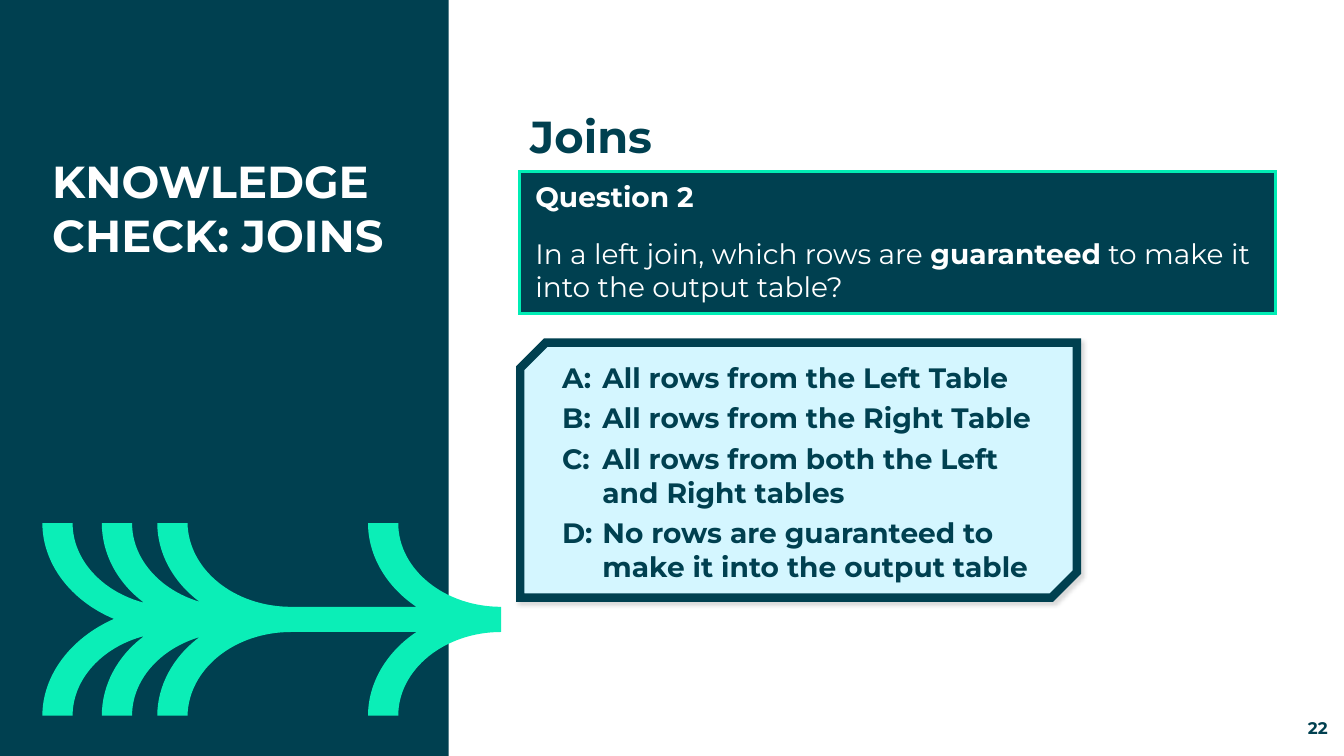
from lxml import etree
from pptx import Presentation
from pptx.dml.color import RGBColor
from pptx.enum.shapes import MSO_SHAPE as SHAPE
from pptx.enum.text import MSO_ANCHOR as ANCHOR, PP_ALIGN as ALIGN
from pptx.oxml import parse_xml
from pptx.oxml.ns import nsdecls, qn
from pptx.util import Pt

PX = 9144
COLORS = {"navy": "004050", "mint": "0BEEB7", "edge": "00EDB5",
          "ice": "D4F6FF", "white": "FFFFFF"}


def paint(sp, fill, line=None, width=0):
    sp.shadow.inherit = False
    sp.fill.solid()
    sp.fill.fore_color.rgb = RGBColor.from_string(COLORS[fill])
    if line:
        sp.line.color.rgb = RGBColor.from_string(COLORS[line])
        sp.line.width = Pt(width)
        etree.SubElement(sp.line._ln, qn("a:miter")).set("lim", "800000")
    else:
        sp.line.fill.background()


def write(tf, paragraphs, size, color, **formats):
    for i, runs in enumerate(paragraphs):
        p = tf.paragraphs[0] if i == 0 else tf.add_paragraph()
        for name, value in {"alignment": ALIGN.LEFT, **formats}.items():
            setattr(p, name, value)
        for text, bold in runs:
            r = p.add_run()
            r.text = text
            for name, value in {"name": "Montserrat", "size": Pt(size), "bold": bold}.items():
                setattr(r.font, name, value)
            r.font.color.rgb = RGBColor.from_string(COLORS[color])


prs = Presentation()
prs.slide_width, prs.slide_height = 1333 * PX, 750 * PX
s = prs.slides.add_slide(prs.slide_layouts[6])

panel = s.shapes.add_shape(SHAPE.RECTANGLE, 0, 0, 445 * PX, 750 * PX)
paint(panel, "navy")

notch = (113, 614)
upper = [
    [(70, 596), (42, 559), (42, 519)], [(72, 519)],
    [(72, 555), (101, 587), (143, 598)],
    [(116, 578), (101, 549), (101, 519)], [(131, 519)],
    [(131, 554), (158, 585), (198, 597)],
    [(171, 577), (156, 548), (156, 519)], [(186, 519)],
    [(187, 565), (232, 602), (289, 602)], [(413, 602)],
    [(383, 582), (365, 551), (365, 519)], [(395, 519)],
    [(395, 565), (441, 602), (497, 602)],
]
starts = [notch] + [step[-1] for step in upper]
lower = [[(x, 1229 - y) for x, y in [start, *step[:-1]][::-1]]
         for start, step in zip(starts, upper)][::-1]
lower[-1][-1] = notch
steps = upper + [[(497, 627)]] + lower
fb = s.shapes.build_freeform(*notch, scale=PX)
fb.add_line_segments([step[-1] for step in steps], close=True)
arrow = fb.convert_to_shape()
paint(arrow, "mint")
for segment, step in zip(list(arrow._element.iter(qn("a:lnTo"))), steps):
    if len(step) == 3:
        curve = etree.Element(qn("a:cubicBezTo"))
        for x, y in step:
            pt = etree.SubElement(curve, qn("a:pt"))
            pt.set("x", str(x - 42))
            pt.set("y", str(y - 519))
        segment.getparent().replace(segment, curve)

labels = [
    ((42, 148, 377, 301), "KNOWLEDGE CHECK: JOINS", 32, "white", {}, {}),
    ((1231, 712, 86, 20), "22", 12, "navy",
     {"vertical_anchor": ANCHOR.BOTTOM, "margin_left": 0, "margin_right": 0,
      "margin_top": 0, "margin_bottom": 0}, {"alignment": ALIGN.RIGHT}),
    ((516, 74, 771, 116), "Joins", 32, "navy",
     {"vertical_anchor": ANCHOR.MIDDLE}, {"line_spacing": Pt(42)}),
]
for box, text, size, color, frame, formats in labels:
    tf = s.shapes.add_textbox(*(v * PX for v in box)).text_frame
    for name, value in {"word_wrap": True, **frame}.items():
        setattr(tf, name, value)
    write(tf, [[(text, True)]], size, color, **formats)

question = s.shapes.add_shape(SHAPE.RECTANGLE, 515 * PX, 170 * PX, 750 * PX, 141 * PX)
paint(question, "navy", "edge", 2.25)
tf = question.text_frame
for name, value in {"vertical_anchor": ANCHOR.TOP, "margin_left": 16 * PX, "margin_right": 16 * PX,
                    "margin_top": 8 * PX, "margin_bottom": 8 * PX}.items():
    setattr(tf, name, value)
write(tf, [
    [("Question 2", True)],
    [("In a left join, which rows are ", False), ("guaranteed", True),
     (" to make it into the output table?", False)],
], 20, "white", space_after=Pt(16.6))

answers = s.shapes.add_shape(SHAPE.SNIP_2_DIAG_RECTANGLE, 516 * PX, 340 * PX, 552 * PX, 253 * PX)
answers.adjustments[0], answers.adjustments[1] = 0.1, 0
paint(answers, "ice", "navy", 6)
effects = answers._element.spPr.find(qn("a:effectLst"))
effects.append(parse_xml(
    f'<a:outerShdw {nsdecls("a")} blurRad="{Pt(3)}" dist="{Pt(2)}" dir="2700000" algn="tl" '
    'rotWithShape="0"><a:srgbClr val="000000"><a:alpha val="15000"/></a:srgbClr></a:outerShdw>'))
tf = answers.text_frame
tf.vertical_anchor = ANCHOR.TOP
choices = ["All rows from the Left Table", "All rows from the Right Table",
           "All rows from both the Left and Right tables",
           "No rows are guaranteed to make it into the output table"]
write(tf, [[(f"{letter}:\t{choice}", True)] for letter, choice in zip("ABCD", choices)],
      20, "navy", space_after=Pt(5))
for p in tf.paragraphs:
    pPr = p._p.get_or_add_pPr()
    pPr.set("marL", str(59 * PX))
    pPr.set("indent", str(-40 * PX))
    tabs = etree.SubElement(pPr, qn("a:tabLst"))
    tabs.append(parse_xml(f'<a:tab {nsdecls("a")} pos="{59 * PX}" algn="l"/>'))

prs.save("out.pptx")
